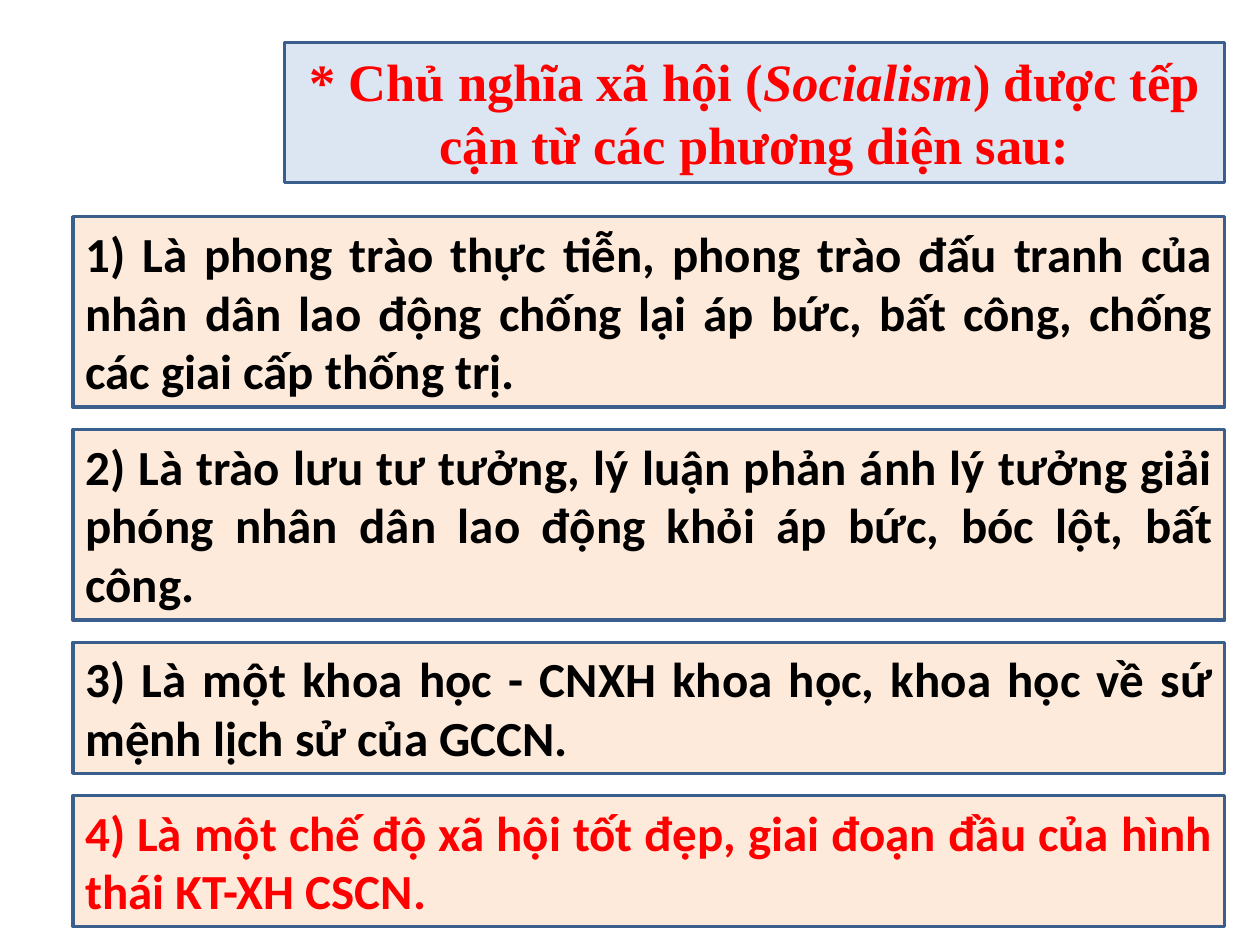
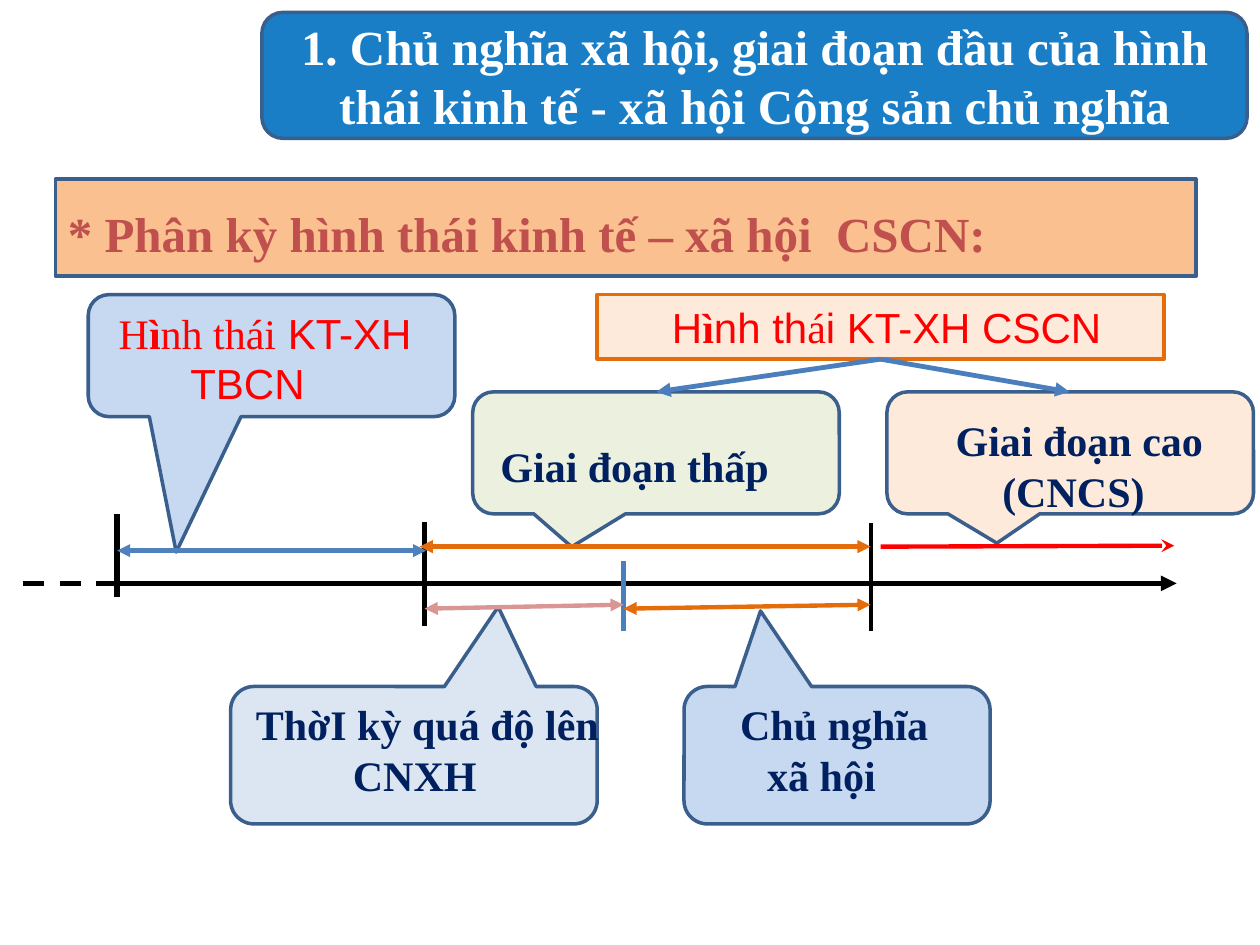
from dataclasses import dataclass, field
from typing import Optional

from lxml.etree import SubElement
from pptx import Presentation
from pptx.dml.color import RGBColor
from pptx.enum.dml import MSO_LINE_DASH_STYLE as Dash
from pptx.enum.shapes import MSO_CONNECTOR, MSO_SHAPE as Preset
from pptx.enum.text import MSO_ANCHOR as Anchor, PP_ALIGN as Align
from pptx.oxml.ns import qn
from pptx.util import Cm, Pt


# Shared colours, fonts and sizes
@dataclass(frozen=True)
class Theme:
    serif: str = "Times New Roman"
    sans: str = "Arial"
    body: str = "Calibri"
    title_size: int = 30
    heading_size: int = 28
    label_size: int = 24
    outline_width: float = 2
    outline: str = "3A5F8C"
    black: str = "000000"
    white: str = "FFFFFF"
    red: str = "FF0000"
    navy: str = "002060"
    brick: str = "C0504D"
    pale_blue: str = "DCE6F2"
    sky: str = "C6D9F1"
    cream: str = "FDEADA"
    pale_green: str = "EBF1DE"
    peach: str = "FAC090"
    banner: str = "0070C0"
    orange: str = "E46C0A"
    branch: str = "4B7EBC"
    blue: str = "4F81BD"
    pink: str = "D99694"


THEME = Theme()


@dataclass(frozen=True)
class Frame:
    left: float
    top: float
    width: float
    height: float

    def lengths(self) -> list:
        return [Cm(value) for value in (self.left, self.top, self.width, self.height)]


@dataclass(frozen=True)
class Style:
    font: str = THEME.serif
    size: float = THEME.label_size
    color: str = THEME.navy
    bold: bool = True


@dataclass(frozen=True)
class Piece:
    """Part of a line whose font values differ from the style."""
    text: str
    changes: dict = field(default_factory=dict)


@dataclass(frozen=True)
class Line:
    pieces: list
    indent: float = 0
    margin: float = 0
    align: Align = Align.CENTER
    spacing: Optional[float] = None


@dataclass(frozen=True)
class Panel:
    frame: Frame
    fill: str
    preset: Preset = Preset.RECTANGLE
    outline: str = THEME.outline
    adjustments: tuple = ()


@dataclass(frozen=True)
class Label:
    frame: Frame
    lines: list
    style: Style = Style()
    top_margin: float = 0.13


@dataclass(frozen=True)
class Stroke:
    start: tuple
    end: tuple
    color: str
    width: float
    head: str = ""
    tail: str = ""
    dashed: bool = False


# Drawing functions
def write_lines(shape, lines: list[Line], style: Style,
                anchor: Anchor = Anchor.TOP, top_margin: float = 0.13) -> None:
    text_frame = shape.text_frame
    settings = {"word_wrap": True, "vertical_anchor": anchor,
                "margin_top": Cm(top_margin)}
    for name, value in settings.items():
        setattr(text_frame, name, value)
    for index, line in enumerate(lines):
        paragraph = text_frame.add_paragraph() if index else text_frame.paragraphs[0]
        properties = paragraph._p.get_or_add_pPr()
        properties.set("marL", str(Cm(line.margin)))
        properties.set("indent", str(Cm(line.indent)))
        paragraph.alignment = line.align
        paragraph.line_spacing = line.spacing
        for piece in line.pieces:
            run = paragraph.add_run()
            run.text = piece.text
            run.font.color.rgb = RGBColor.from_string(style.color)
            values = {"name": style.font, "size": Pt(style.size),
                      "bold": style.bold} | piece.changes
            for name, value in values.items():
                setattr(run.font, name, value)


def draw_panel(slide, panel: Panel):
    shape = slide.shapes.add_shape(panel.preset, *panel.frame.lengths())
    shape.shadow.inherit = False
    shape.fill.solid()
    shape.fill.fore_color.rgb = RGBColor.from_string(panel.fill)
    shape.line.color.rgb = RGBColor.from_string(panel.outline)
    shape.line.width = Pt(THEME.outline_width)
    for index, value in enumerate(panel.adjustments):
        shape.adjustments[index] = value
    return shape


def draw_label(slide, label: Label) -> None:
    box = slide.shapes.add_textbox(*label.frame.lengths())
    write_lines(box, label.lines, label.style, top_margin=label.top_margin)


def draw_stroke(slide, stroke: Stroke) -> None:
    points = [Cm(value) for value in (*stroke.start, *stroke.end)]
    connector = slide.shapes.add_connector(MSO_CONNECTOR.STRAIGHT, *points)
    connector.line.color.rgb = RGBColor.from_string(stroke.color)
    connector.line.width = Pt(stroke.width)
    if stroke.dashed:
        connector.line.dash_style = Dash.DASH
    outline = connector.line._get_or_add_ln()
    for tag, kind in (("a:headEnd", stroke.head), ("a:tailEnd", stroke.tail)):
        if kind:
            SubElement(outline, qn(tag), type=kind)
    SubElement(connector._element.spPr, qn("a:effectLst"))


def set_opacity(shape, percent: int) -> None:
    color = shape._element.spPr.find(qn("a:solidFill")).find(qn("a:srgbClr"))
    SubElement(color, qn("a:alpha"), val=str(percent * 1000))


# Slide 1: four approaches to socialism
def build_approaches(slide) -> None:
    title = draw_panel(slide, Panel(Frame(5.74, 0.86, 18.95, 2.82), THEME.pale_blue))
    write_lines(title, [Line([Piece("* Chủ nghĩa xã hội ("),
                              Piece("Socialism", {"italic": True}),
                              Piece(") được tếp cận từ các phương diện sau:")])],
                Style(size=THEME.title_size, color=THEME.red))

    approaches = [
        ("1) Là phong trào thực tiễn, phong trào đấu tranh của nhân dân lao động "
         "chống lại áp bức, bất công, chống các giai cấp thống trị.", 3, THEME.black),
        ("2) Là trào lưu tư tưởng, lý luận phản ánh lý tưởng giải phóng nhân dân "
         "lao động khỏi áp bức, bóc lột, bất công.", 3, THEME.black),
        ("3) Là một khoa học - CNXH khoa học, khoa học về sứ mệnh lịch sử của GCCN.",
         2, THEME.black),
        ("4) Là một chế độ xã hội tốt đẹp, giai đoạn đầu của hình thái KT-XH CSCN.",
         2, THEME.red),
    ]
    top, gap, line_height, padding = 4.37, 0.45, 1.2, 0.24
    for text, line_count, color in approaches:
        height = line_count * line_height + padding
        box = draw_panel(slide, Panel(Frame(1.47, top, 23.22, height), THEME.cream))
        write_lines(box, [Line([Piece(text)], align=Align.JUSTIFY)],
                    Style(THEME.body, THEME.heading_size, color))
        top += height + gap


# Slide 2: timeline of the stages
def build_timeline(slide) -> None:
    # Heading and subheading
    heading = draw_panel(slide, Panel(Frame(5.28, 0.25, 19.86, 2.54), THEME.banner,
                                      Preset.ROUNDED_RECTANGLE))
    set_opacity(heading, 90)
    write_lines(heading, [Line([Piece("1. Chủ nghĩa xã hội, giai đoạn đầu của hình thái "
                                      "kinh tế - xã hội Cộng sản chủ nghĩa")])],
                Style(size=THEME.heading_size, color=THEME.white), Anchor.MIDDLE)
    subheading = draw_panel(slide, Panel(Frame(1.12, 3.61, 22.99, 1.96), THEME.peach))
    write_lines(subheading, [Line([Piece("* Phân kỳ hình thái kinh tế – xã hội  CSCN:")],
                                  -0.96, 0.96, Align.JUSTIFY, 1.3)],
                Style(size=THEME.heading_size, color=THEME.brick))

    # Callouts with their pointer offsets
    upper, lower, stage_top, lower_top = 2.46, 2.77, 7.9, 13.84
    callouts = [
        (Frame(1.78, 5.94, 7.39, upper), THEME.sky, (-0.26, 1.61)),
        (Frame(9.53, stage_top, 7.39, upper), THEME.pale_green, (-0.23, 0.77)),
        (Frame(17.88, stage_top, 7.39, upper), THEME.cream, (-0.2, 0.74)),
        (Frame(4.65, lower_top, 7.39, lower), THEME.pale_blue, (0.23, -1.08)),
        (Frame(13.79, lower_top, 6.17, lower), THEME.sky, (-0.25, -1.05)),
    ]
    for frame, fill, pointer in callouts:
        draw_panel(slide, Panel(frame, fill, Preset.ROUNDED_RECTANGULAR_CALLOUT,
                                adjustments=(*pointer, 0.17)))

    # Formation box
    serif, sans = {"name": THEME.serif}, {"name": THEME.sans}
    accent = serif | {"bold": True}
    formation_style = Style(THEME.sans, color=THEME.red, bold=False)
    formation = draw_panel(slide, Panel(Frame(12.04, 5.94, 11.43, 1.3), THEME.cream,
                                        outline=THEME.orange))
    write_lines(formation, [Line([Piece("H"), Piece("ì", accent), Piece("nh th"),
                                  Piece("á", serif), Piece("i KT-XH CSCN")], 0.24)],
                formation_style)

    # Axis, period marks and spans
    axis, start, capitalism_end, transition_end, socialism_end = (
        11.76, 2.36, 8.56, 12.57, 17.55)
    fork = (17.75, 7.24)
    both = {"head": "triangle", "tail": "triangle"}
    strokes = [
        Stroke((start, axis), (23.72, axis), THEME.black, 3, tail="triangle"),
        Stroke((0.46, axis), (start, axis), THEME.black, 3, dashed=True),
        Stroke((start, 10.36), (start, 12.04), THEME.black, 3),
        Stroke((capitalism_end, 10.52), (capitalism_end, 12.62), THEME.black, 3),
        Stroke((socialism_end, 12.73), (socialism_end, 10.54), THEME.black, 2.25),
        Stroke((8.46, 11.02), (socialism_end, 11.02), THEME.orange, 2.5, **both),
        Stroke((17.75, 11.02), (23.67, 11), THEME.red, 2.5, tail="stealth"),
        Stroke(fork, (13.23, stage_top), THEME.branch, 2.75, tail="triangle"),
        Stroke(fork, (21.56, stage_top), THEME.branch, 2.75, tail="triangle"),
        Stroke((start, 11.1), (8.59, 11.1), THEME.blue, 2.5, **both),
        Stroke((transition_end, 12.73), (transition_end, 11.3), THEME.branch, 3.25),
        Stroke((capitalism_end, 12.27), (transition_end, 12.19), THEME.pink, 2.5, **both),
        Stroke((transition_end, 12.27), (socialism_end, 12.19), THEME.orange, 2.5, **both),
    ]
    for stroke in strokes:
        draw_stroke(slide, stroke)

    # Callout labels
    labels = [
        Label(Frame(0.86, 6.07, 8.26, 2.31),
              [Line([Piece("H", serif), Piece("ì", accent), Piece("nh thái", serif),
                     Piece(" KT-XH TBCN", sans)], 0.71)], formation_style),
        Label(Frame(9.37, 8.74, 7.39, 1.27),
              [Line([Piece("Giai đoạn thấp")], 0.47, align=Align.LEFT)]),
        Label(Frame(17.73, 8.23, 7.82, 2.31),
              [Line([Piece("Giai đoạn cao (CNCS)")], 0.24)]),
        Label(Frame(4.37, lower_top, 7.98, 2.49),
              [Line([Piece("ThờI kỳ quá độ lên CNXH")], 0.51)], top_margin=0.25),
        Label(Frame(12.57, lower_top, 7.98, 2.49),
              [Line([Piece("Chủ nghĩa")], 0.51), Line([Piece("xã hội")])],
              top_margin=0.25),
    ]
    for label in labels:
        draw_label(slide, label)


def main() -> None:
    presentation = Presentation()
    presentation.slide_width, presentation.slide_height = Cm(25.4), Cm(19.05)
    blank = presentation.slide_layouts[6]
    for build in (build_approaches, build_timeline):
        build(presentation.slides.add_slide(blank))
    presentation.save("out.pptx")


if __name__ == "__main__":
    main()
